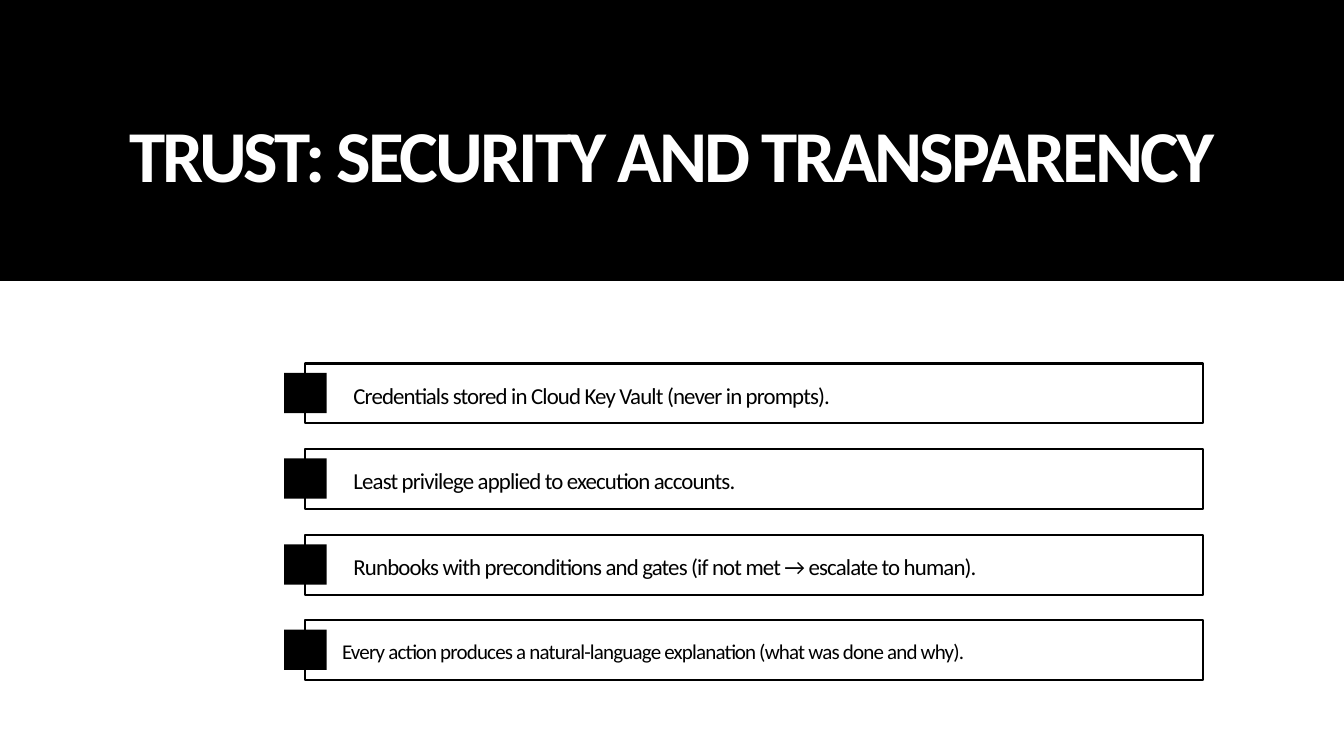
from dataclasses import dataclass
from typing import NamedTuple

from pptx import Presentation
from pptx.dml.color import RGBColor
from pptx.enum.shapes import MSO_SHAPE
from pptx.enum.text import PP_ALIGN
from pptx.util import Emu, Pt

EMU_PER_PX = 9144


class Box(NamedTuple):
    left: int
    top: int
    width: int
    height: int

    def inner(self, left, top, width, height):
        return Box(self.left + left, self.top + top, width, height)

    def emu(self):
        return [Emu(length * EMU_PER_PX) for length in self]


class TextStyle(NamedTuple):
    size: float
    leading: float
    tracking: float
    color: RGBColor
    bold: bool = False
    alignment: PP_ALIGN = PP_ALIGN.LEFT


@dataclass(frozen=True)
class Theme:
    font = "Calibri"
    ink = RGBColor(0, 0, 0)
    paper = RGBColor(255, 255, 255)
    outline = 2.25
    title = TextStyle(78.3, 88.5, -3, paper, True, PP_ALIGN.CENTER)
    statement = TextStyle(24.5, 44.1, -0.9, ink)
    closing = TextStyle(22.5, 40.5, -0.9, ink)


THEME = Theme()
SLIDE = Box(0, 0, 2000, 1125)
BAND = Box(0, 0, 2000, 418)
CARDS = Box(454, 541, 1336, 471)
CARD_HEIGHT = 89
STATEMENTS = [
    ("Credentials stored in Cloud Key Vault (never in prompts).", THEME.statement, 72, 6),
    ("Least privilege applied to execution accounts.", THEME.statement, 72, 6),
    ("Runbooks with preconditions and gates (if not met → escalate to human).",
     THEME.statement, 72, 6),
    ("Every action produces a natural-language explanation (what was done and why).",
     THEME.closing, 55, 8),
]


def add_rectangle(slide, box, filled):
    shape = slide.shapes.add_shape(MSO_SHAPE.RECTANGLE, *box.emu())
    shape.shadow.inherit = False
    if filled:
        shape.fill.solid()
        shape.fill.fore_color.rgb = THEME.ink
        shape.line.fill.background()
    else:
        shape.fill.background()
        shape.line.color.rgb = THEME.ink
        shape.line.width = Pt(THEME.outline)


def add_text(slide, box, text, style):
    frame = slide.shapes.add_textbox(*box.emu()).text_frame
    frame.word_wrap = True
    frame.margin_left = frame.margin_top = frame.margin_right = frame.margin_bottom = 0
    paragraph = frame.paragraphs[0]
    paragraph.alignment = style.alignment
    paragraph.line_spacing = Pt(style.leading)
    run = paragraph.add_run()
    run.text = text
    run.font.name = THEME.font
    run.font.size = Pt(style.size)
    run.font.bold = style.bold
    run.font.color.rgb = style.color
    run.font._element.set("spc", str(round(style.tracking * 100)))


def add_title_band(slide, box):
    add_rectangle(slide, box, filled=True)
    add_text(slide, box.inner(112, 170, 1775, 248), "TRUST: SECURITY AND TRANSPARENCY", THEME.title)


def add_card(slide, box, text, style, indent, drop):
    add_rectangle(slide, box, filled=False)
    add_rectangle(slide, box.inner(-31, 14, 63, 60), filled=True)
    add_text(slide, box.inner(indent, drop, box.width - indent, 59), text, style)


def add_cards(slide, box):
    pitch = (box.height - CARD_HEIGHT) / (len(STATEMENTS) - 1)
    for index, statement in enumerate(STATEMENTS):
        card = box.inner(0, round(index * pitch), box.width, CARD_HEIGHT)
        add_card(slide, card, *statement)


def main():
    presentation = Presentation()
    _, _, presentation.slide_width, presentation.slide_height = SLIDE.emu()
    slide = presentation.slides.add_slide(presentation.slide_layouts[6])
    slide.background.fill.solid()
    slide.background.fill.fore_color.rgb = THEME.paper
    add_title_band(slide, BAND)
    add_cards(slide, CARDS)
    presentation.save("out.pptx")


if __name__ == "__main__":
    main()
